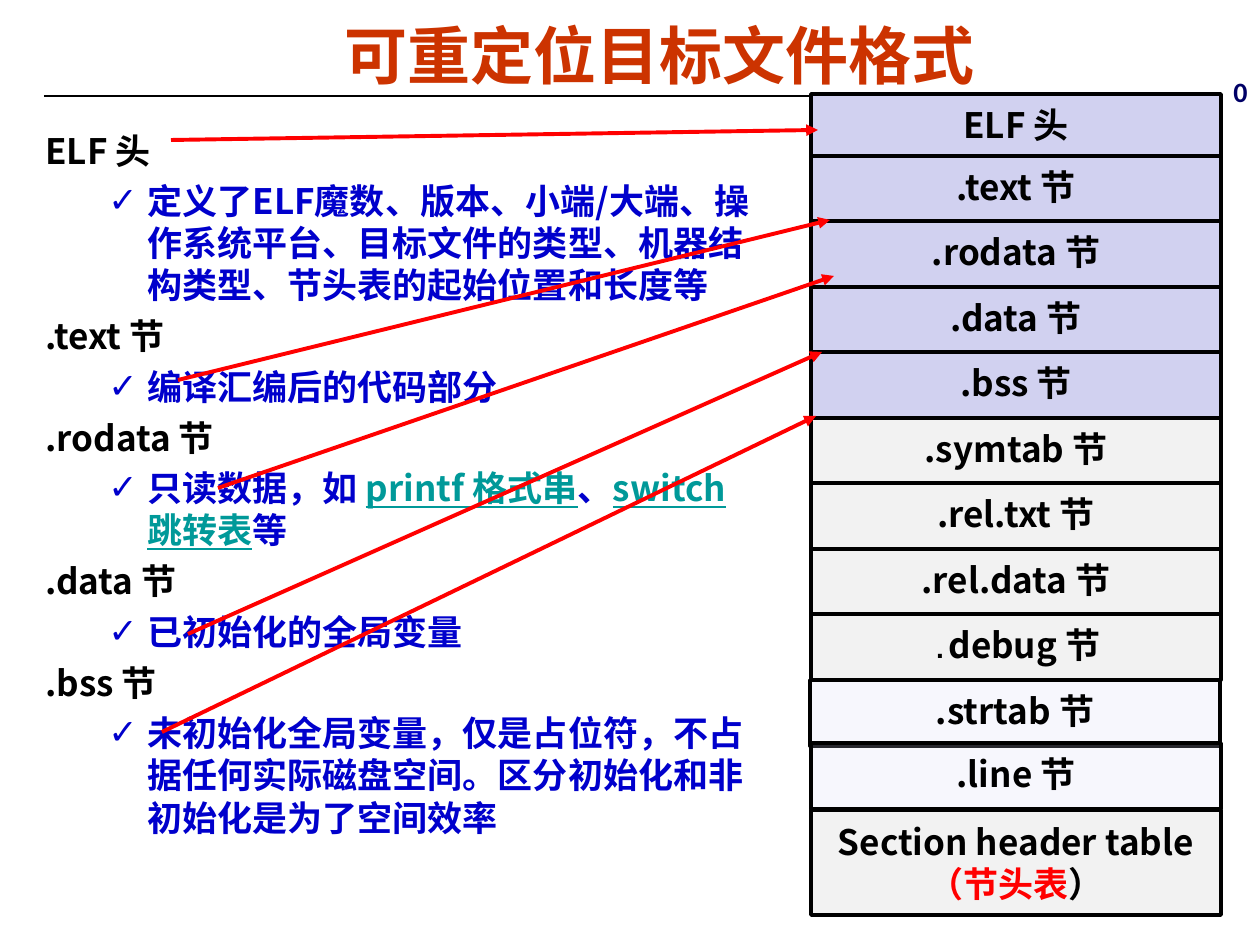
from lxml import etree
from pptx import Presentation
from pptx import util as u
from pptx.dml.color import RGBColor
from pptx.enum import shapes, text
from pptx.oxml.ns import qn

SANS = "Noto Sans CJK SC"
BLACK, BLUE, TEAL, RED = "000000", "0000CC", "009999", "FF0000"
LILAC, GREY, PALE = "D1D1F0", "F2F2F2", "D6D6F5"

NOTES = [
    ("ELF 头", [("定义了ELF魔数、版本、小端/大端、操作系统平台、目标文件的类型、"
                "机器结构类型、节头表的起始位置和长度等", BLUE)]),
    (".text 节", [("编译汇编后的代码部分", BLUE)]),
    (".rodata 节", [("只读数据，如 ", BLUE), ("printf 格式串", TEAL), ("、", BLUE),
                   ("switch 跳转表", TEAL), ("等", BLUE)]),
    (".data 节", [("已初始化的全局变量", BLUE)]),
    (".bss 节", [("未初始化全局变量，仅是占位符，不占据任何实际磁盘空间。"
                 "区分初始化和非初始化是为了空间效率", BLUE)]),
]
CELLS = [(".text", LILAC), (".rodata", LILAC), (".data", LILAC), (".bss", LILAC),
         (".symtab", GREY), (".rel.txt", GREY), (".rel.data", GREY), (".debug", GREY)]
ARROWS = [(171, 140, 818, 130), (178, 380, 830, 220), (218, 488, 834, 276),
          (188, 634, 822, 352), (162, 732, 816, 416)]


def px(n):
    return u.Emu(round(n * 914400 / 126))


def rgb(code):
    return RGBColor.from_string(code)


def sub(node, tag, **attrs):
    return etree.SubElement(node, qn(tag), **attrs)


def add_run(para, words, color, size=20, face=SANS):
    run = para.add_run()
    run.text = words
    font = run.font
    font.size, font.bold, font.name = u.Pt(size), True, face
    font.color.rgb = rgb(color)
    sub(run._r.get_or_add_rPr(), "a:ea", typeface=SANS)
    return run


def add_line(slide, ends, color, width, head=False):
    line = slide.shapes.add_connector(shapes.MSO_CONNECTOR.STRAIGHT, *map(px, ends))
    line.line.color.rgb = rgb(color)
    line.line.width = u.Pt(width)
    if head:
        sub(line.line._get_or_add_ln(), "a:tailEnd", type="triangle")
    sub(line._element.spPr, "a:effectLst")


def add_title(slide, box):
    title = slide.shapes.title
    title.left, title.top, title.width, title.height = map(px, box)
    frame = title.text_frame
    frame.vertical_anchor = text.MSO_ANCHOR.MIDDLE
    para = frame.paragraphs[0]
    para.alignment = text.PP_ALIGN.CENTER
    add_run(para, "可重定位目标文件格式", "CC3300", 36, "Arial")


def add_para(frame, first, left, hang):
    para = frame.paragraphs[0] if first else frame.add_paragraph()
    props = para._p.get_or_add_pPr()
    props.set("marL", str(px(left)))
    props.set("indent", str(-px(hang)))
    para.line_spacing = u.Pt(24)
    if not first:
        para.space_before = u.Pt(5)
    return para


def add_notes(slide, box):
    frame = slide.shapes.add_textbox(*map(px, box)).text_frame
    frame.word_wrap = True
    for i, (head, runs) in enumerate(NOTES):
        add_run(add_para(frame, i == 0, 48, 48), head, BLACK)
        para = add_para(frame, False, 102, 39)
        props = para._p.get_or_add_pPr()
        sub(props, "a:buFont", typeface="Arial")
        sub(props, "a:buChar", char="✓")
        for words, color in runs:
            run = add_run(para, words, color)
            if color == TEAL:
                run.font.underline = True


def add_cell(slide, box, fill, lines, alpha=None):
    cell = slide.shapes.add_shape(shapes.MSO_SHAPE.RECTANGLE, *map(px, box))
    cell.shadow.inherit = False
    cell.fill.solid()
    cell.fill.fore_color.rgb = rgb(fill)
    if alpha:
        tint = cell._element.spPr.find(".//" + qn("a:srgbClr"))
        sub(tint, "a:alpha", val=str(alpha * 1000))
    cell.line.color.rgb = rgb(BLACK)
    cell.line.width = u.Pt(2)
    frame = cell.text_frame
    frame.word_wrap = False
    frame.vertical_anchor = text.MSO_ANCHOR.MIDDLE
    for i, runs in enumerate(lines):
        para = frame.add_paragraph() if i else frame.paragraphs[0]
        para.alignment = text.PP_ALIGN.CENTER
        para.line_spacing = u.Pt(24) if len(lines) > 1 else 0.94
        for run in runs:
            add_run(para, *run)


def add_stack(slide, box):
    x, y, wide, tall = box
    add_cell(slide, (x, y, wide, 66), LILAC, [[("ELF 头", BLACK)]])
    for i, (name, fill) in enumerate(CELLS):
        runs = [(name + " 节", BLACK)]
        if name == ".debug":
            runs = [(".", BLACK, 16, "Courier New"), ("debug 节", BLACK)]
        add_cell(slide, (x, y + 62 + 131 * i // 2, wide, 66), fill, [runs])
    add_cell(slide, (x, y + tall - 105, wide, 105), GREY,
             [[("Section header table", BLACK)], [("（节头表", RED), ("）", BLACK)]])
    for dx, dy, name in [(-1, 586, ".strtab 节"), (0, 649, ".line 节")]:
        add_cell(slide, (x + dx, y + dy, wide, 66), PALE, [[(name, BLACK)]], 19)


def add_mark(slide, box):
    frame = slide.shapes.add_textbox(*map(px, box)).text_frame
    frame.word_wrap = False
    add_run(frame.paragraphs[0], "0", "000066", 16, "Calibri")


def main():
    deck = Presentation()
    deck.slide_width, deck.slide_height = px(1260), px(945)
    slide = deck.slides.add_slide(deck.slide_layouts[5])
    add_line(slide, (44, 96, 1216, 96), BLACK, 0.75)
    add_title(slide, (59, 0, 1201, 108))
    add_notes(slide, (33, 123, 737, 791))
    add_stack(slide, (811, 94, 410, 821))
    add_mark(slide, (1221, 68, 39, 45))
    for ends in ARROWS:
        add_line(slide, ends, RED, 2.25, True)
    deck.save("out.pptx")


if __name__ == "__main__":
    main()
